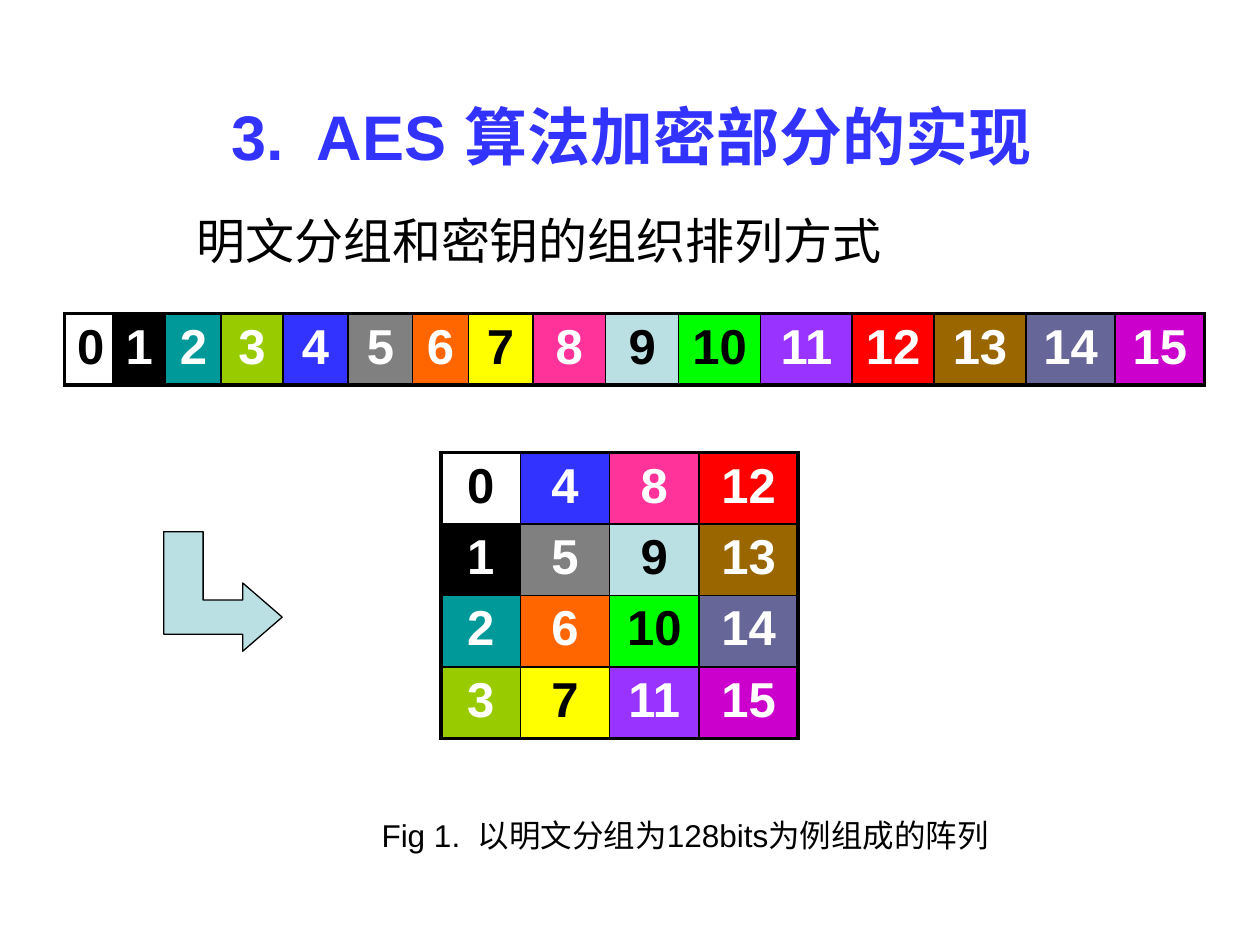
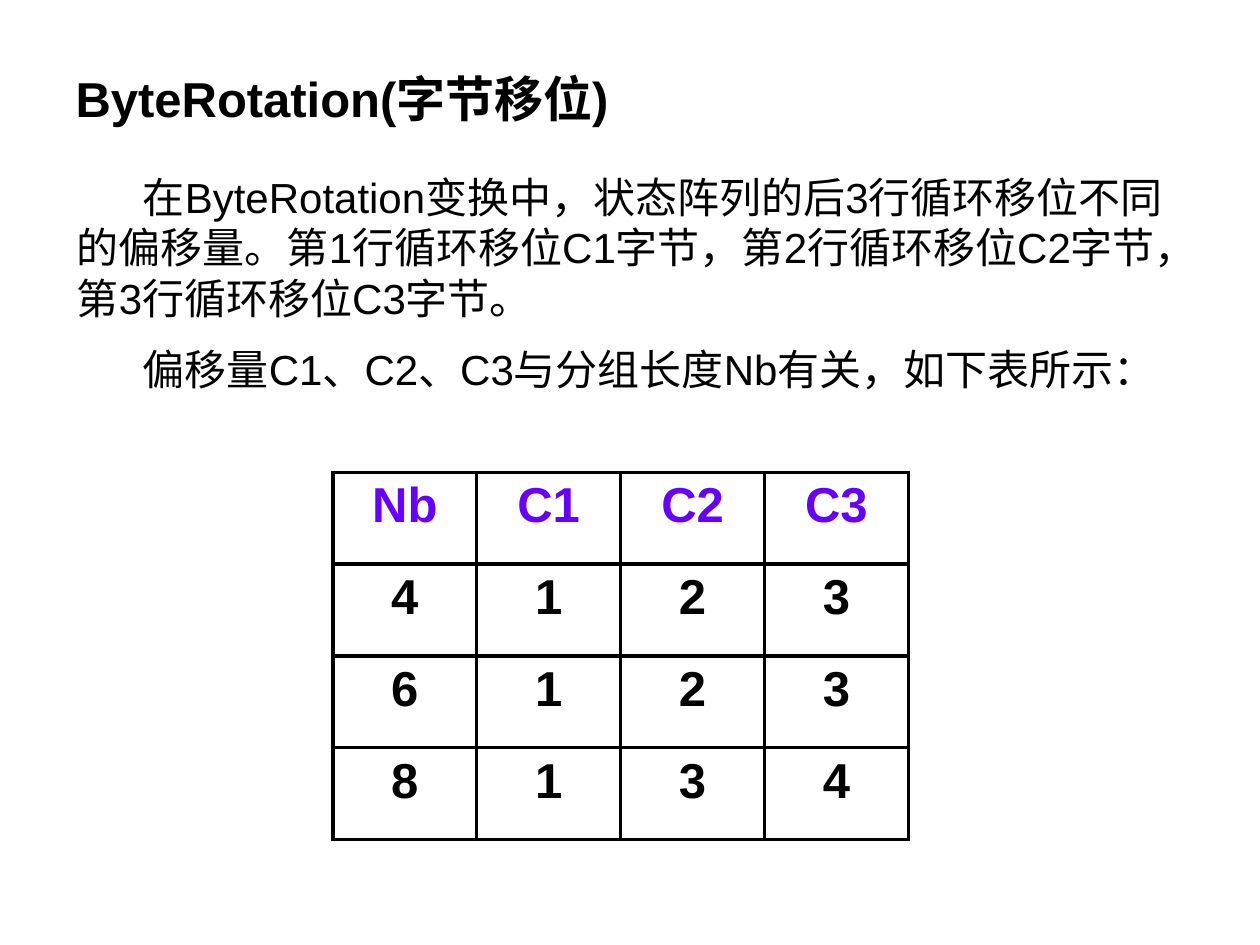
from pptx import Presentation
from pptx.dml.color import RGBColor
from pptx.enum.text import MSO_ANCHOR, PP_ALIGN
from pptx.oxml import parse_xml
from pptx.oxml.ns import nsdecls
from pptx.util import Cm, Pt

FONT = "Arial"
BLACK, WHITE, BLUE, VIOLET, PALE = "000000", "FFFFFF", "3333FF", "6600FF", "BBE0E3"
THICK, THIN = 2.25, 1

# One fill per byte 0..15 of the block, and the bytes written in black
BYTE_FILLS = [WHITE, BLACK, "009999", "99CC00", BLUE, "808080", "FF6600", "FFFF00",
              "FF3399", PALE, "00FF00", "9933FF", "FF0000", "996600", "666699", "CC00CC"]
DARK_TEXT_BYTES = {0, 7, 9, 10}


def rgb(value):
    return RGBColor.from_string(value)


def cm_box(box):
    return [Cm(v) for v in box]


# Text
def write(p, text, size, color=BLACK, bold=False, align=PP_ALIGN.LEFT):
    p.alignment = align
    r = p.add_run()
    r.text = text
    r.font.name, r.font.size, r.font.bold = FONT, Pt(size), bold
    r.font.color.rgb = rgb(color)


def add_title(s, box, text, size, color=BLACK, align=PP_ALIGN.LEFT):
    title = s.shapes.title
    title.left, title.top, title.width, title.height = cm_box(box)
    tf = title.text_frame
    tf.word_wrap = True
    tf.vertical_anchor = MSO_ANCHOR.MIDDLE
    write(tf.paragraphs[0], text, size, color, True, align)


def add_text(s, box, paragraphs, size, align=PP_ALIGN.LEFT, indent=0):
    tf = s.shapes.add_textbox(*cm_box(box)).text_frame
    tf.word_wrap = True
    for i, text in enumerate(paragraphs):
        p = tf.add_paragraph() if i else tf.paragraphs[0]
        if i:
            p.space_before = Pt(size / 2)
        if indent:
            p._p.get_or_add_pPr().set("indent", str(Cm(indent)))
        write(p, text, size, align=align)


# Tables
def set_border(cell, side, width):
    cell._tc.get_or_add_tcPr().append(parse_xml(
        f'<a:ln{side} {nsdecls("a")} w="{Pt(width)}"><a:solidFill>'
        f'<a:srgbClr val="{BLACK}"/></a:solidFill></a:ln{side}>'))


def add_grid(s, left, top, col_widths, row_height, rows, inner):
    """Rows hold (text, text colour, fill or None); the outer frame is thick."""
    n_rows, n_cols = len(rows), len(col_widths)
    table = s.shapes.add_table(n_rows, n_cols, *cm_box(
        (left, top, sum(col_widths), row_height * n_rows))).table
    table.first_row = table.horz_banding = False
    for col, width in zip(table.columns, col_widths):
        col.width = Cm(width)
    for i, row in enumerate(rows):
        table.rows[i].height = Cm(row_height)
        for j, (text, color, fill) in enumerate(row):
            cell = table.cell(i, j)
            on_edge = {"L": j == 0, "R": j == n_cols - 1,
                       "T": i == 0, "B": i == n_rows - 1}
            for side, outer in on_edge.items():
                set_border(cell, side, THICK if outer else inner)
            if fill:
                cell.fill.solid()
                cell.fill.fore_color.rgb = rgb(fill)
            else:
                cell.fill.background()
            write(cell.text_frame.paragraphs[0], text, 28, color, True, PP_ALIGN.CENTER)


def byte_cell(n):
    return str(n), BLACK if n in DARK_TEXT_BYTES else WHITE, BYTE_FILLS[n]


# Arrow bent from down to right, drawn on a grid of 3 by 7 units
def add_bent_arrow(s, left, top, width, height):
    builder = s.shapes.build_freeform(0, 0, scale=(Cm(width) / 3, Cm(height) / 7))
    builder.add_line_segments(
        [(1, 0), (1, 4), (2, 4), (2, 3), (3, 5), (2, 7), (2, 6), (0, 6)], close=True)
    arrow = builder.convert_to_shape(Cm(left), Cm(top))
    arrow.shadow.inherit = False
    arrow.fill.solid()
    arrow.fill.fore_color.rgb = rgb(PALE)
    arrow.line.color.rgb = rgb(BLACK)
    arrow.line.width = Pt(0.75)


# Slides
def block_layout_slide(s):
    add_title(s, (1.3, 1.73, 22.86, 2.01), "3.  AES 算法加密部分的实现", 36, BLUE,
              PP_ALIGN.CENTER)
    add_text(s, (3.71, 4.11, 17, 1.45), ["明文分组和密钥的组织排列方式"], 28)
    strip_widths = [0.97, 1.07, 1.12, 1.24, 1.32, 1.3, 1.12, 1.3,
                    1.47, 1.47, 1.65, 1.85, 1.65, 1.85, 1.8, 1.8]
    add_grid(s, 1.3, 6.32, strip_widths, 1.44, [[byte_cell(n) for n in range(16)]], THIN)
    # The bytes fill the state column by column
    state = [[byte_cell(row + 4 * col) for col in range(4)] for row in range(4)]
    add_grid(s, 8.89, 9.12, [1.6, 1.8, 1.8, 2], 1.44, state, THIN)
    add_text(s, (7.11, 16.33, 13.41, 1.02),
             ["Fig 1.  以明文分组为128bits为例组成的阵列"], 18, PP_ALIGN.CENTER)
    add_bent_arrow(s, 3.3, 10.72, 2.39, 2.41)


def byte_rotation_slide(s):
    add_title(s, (1.27, 0.76, 22.86, 2.41), "ByteRotation(字节移位)", 28)
    add_text(s, (1.3, 3.33, 23.01, 4.83), [
        "在ByteRotation变换中，状态阵列的后3行循环移位不同的偏移量。"
        "第1行循环移位C1字节，第2行循环移位C2字节，第3行循环移位C3字节。",
        "偏移量C1、C2、C3与分组长度Nb有关，如下表所示：",
    ], 24, indent=1.33)
    offsets = ["Nb C1 C2 C3", "4 1 2 3", "6 1 2 3", "8 1 3 4"]
    rows = [[(text, BLACK if i else VIOLET, None) for text in line.split()]
            for i, line in enumerate(offsets)]
    add_grid(s, 6.71, 9.52, [2.9] * 4, 1.85, rows, THICK)


def main():
    prs = Presentation()
    prs.slide_width, prs.slide_height = Cm(25.4), Cm(19.05)
    title_only = prs.slide_layouts[5]
    for build in (block_layout_slide, byte_rotation_slide):
        build(prs.slides.add_slide(title_only))
    prs.save("out.pptx")


if __name__ == "__main__":
    main()
